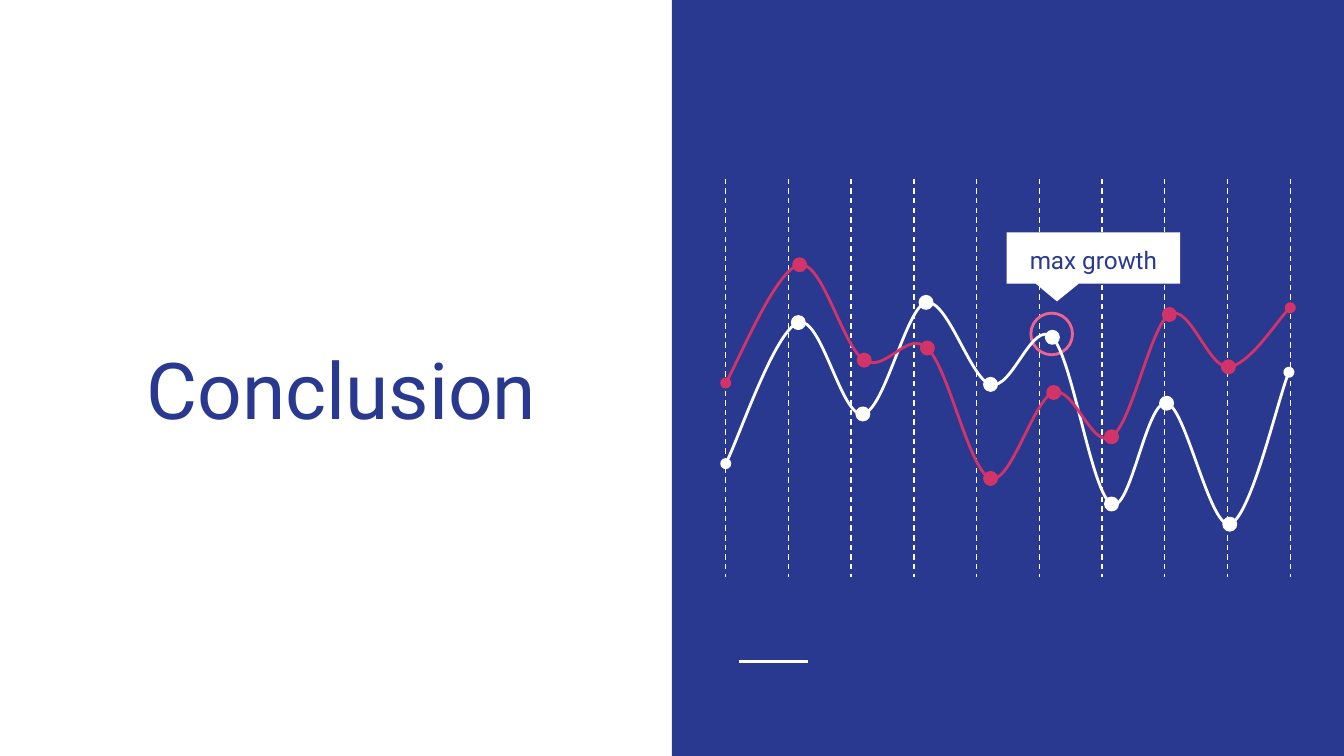
from lxml import etree
from pptx import Presentation
from pptx import util as u
from pptx.dml.color import RGBColor
from pptx.enum import dml, shapes, text
from pptx.oxml.ns import qn

WHITE = RGBColor(0xFF, 0xFF, 0xFF)
NAVY = RGBColor(0x2A, 0x39, 0x90)
CRIMSON = RGBColor(0xD2, 0x33, 0x69)
PINK = RGBColor(0xF0, 0x62, 0x92)
FONT = "Roboto"
DOT = 0.09
SLIDE_W = 10
SLIDE_H = SLIDE_W * 9 / 16

prs = Presentation()
prs.slide_width, prs.slide_height = u.Inches(SLIDE_W), u.Inches(SLIDE_H)
s = prs.slides.add_slide(prs.slide_layouts[6])


def add_shape(kind, x, y, w, h, fill=None, line=None):
    sp = s.shapes.add_shape(kind, *map(u.Inches, (x, y, w, h)))
    sp.shadow.inherit = False
    if fill is None:
        sp.fill.background()
    else:
        sp.fill.solid()
        sp.fill.fore_color.rgb = fill
    if line is None:
        sp.line.fill.background()
    else:
        sp.line.color.rgb = line
        sp.line.width = u.Pt(1.5)
    return sp


def add_text(x, y, w, h, words, size, anchor, spacing=1.0):
    tf = s.shapes.add_textbox(*map(u.Inches, (x, y, w, h))).text_frame
    tf.word_wrap = True
    tf.vertical_anchor = anchor
    tf.margin_left = tf.margin_right = tf.margin_top = tf.margin_bottom = u.Inches(0.1)
    p = tf.paragraphs[0]
    p.alignment = text.PP_ALIGN.CENTER
    p.line_spacing = spacing
    r = p.add_run()
    r.text = words
    r.font.name, r.font.size = FONT, u.Pt(size)
    r.font.color.rgb = NAVY


# Right panel
add_shape(shapes.MSO_SHAPE.RECTANGLE, SLIDE_W / 2, 0, SLIDE_W / 2, SLIDE_H, NAVY)

# Short accent rule, then ten evenly spaced dashed grid lines
rules = [(5.5, 4.92, 6.01, 4.92, 1.5, None)]
for i in range(10):
    x = 5.4 + i * 4.2 / 9
    rules.append((x, 1.33, x, 4.29, 0.75, dml.MSO_LINE.DASH))
for x1, y1, x2, y2, width, dash in rules:
    c = s.shapes.add_connector(shapes.MSO_CONNECTOR.STRAIGHT,
                               *map(u.Inches, (x1, y1, x2, y2)))
    c.line.color.rgb = WHITE
    c.line.width = u.Pt(width)
    if dash is not None:
        c.line.dash_style = dash
    etree.SubElement(c.element.spPr, qn("a:effectLst"))

# Ring around the highlighted point, and the title
add_shape(shapes.MSO_SHAPE.OVAL, 7.67, 2.33, 0.31, 0.31, line=PINK)
add_text(0.33, 1.63, 4.42, 1.71, "Conclusion", 42, text.MSO_ANCHOR.BOTTOM)

# Curves: a start point, then two control points and an end point per segment
white_curve = [
    (5.4, 3.45),
    (5.49, 3.28), (5.77, 2.46), (5.94, 2.4),
    (6.11, 2.34), (6.26, 3.11), (6.42, 3.08),
    (6.58, 3.06), (6.74, 2.29), (6.89, 2.25),
    (7.05, 2.22), (7.22, 2.82), (7.37, 2.86),
    (7.53, 2.91), (7.68, 2.37), (7.83, 2.51),
    (7.98, 2.66), (8.12, 3.67), (8.27, 3.75),
    (8.41, 3.83), (8.53, 2.97), (8.68, 3),
    (8.82, 3.02), (9, 3.93), (9.15, 3.9),
    (9.3, 3.86), (9.51, 2.96), (9.59, 2.77),
]
red_curve = [
    (5.4, 2.85),
    (5.49, 2.7), (5.78, 2), (5.95, 1.97),
    (6.12, 1.94), (6.27, 2.58), (6.43, 2.68),
    (6.59, 2.78), (6.75, 2.45), (6.9, 2.59),
    (7.06, 2.74), (7.21, 3.5), (7.37, 3.56),
    (7.52, 3.61), (7.69, 2.97), (7.84, 2.92),
    (7.99, 2.87), (8.13, 3.35), (8.27, 3.25),
    (8.42, 3.16), (8.56, 2.43), (8.7, 2.34),
    (8.85, 2.25), (8.99, 2.74), (9.14, 2.73),
    (9.29, 2.72), (9.52, 2.36), (9.6, 2.29),
]
for curve, color in ((white_curve, WHITE), (red_curve, CRIMSON)):
    pts = [(u.Inches(x), u.Inches(y)) for x, y in curve]
    fb = s.shapes.build_freeform(*pts[0])
    fb.add_line_segments(pts[1:], close=False)
    sp = fb.convert_to_shape()
    sp.shadow.inherit = False
    sp.fill.background()
    sp.line.color.rgb = color
    sp.line.width = u.Pt(1.5)
    for end in ("a:headEnd", "a:tailEnd"):
        etree.SubElement(sp.element.spPr.find(qn("a:ln")), qn(end), type="oval")

    # Merge each three line steps into one cubic Bezier
    steps = sp.element.xpath(".//a:lnTo")
    for i in range(0, len(steps), 3):
        bezier = etree.Element(qn("a:cubicBezTo"))
        steps[i].addprevious(bezier)
        for step in steps[i:i + 3]:
            bezier.append(step[0])
            step.getparent().remove(step)

    # Dots on the inner points
    for x, y in curve[3:-1:3]:
        add_shape(shapes.MSO_SHAPE.OVAL, x - DOT / 2, y - DOT / 2, DOT, DOT, color, color)

    # The callout lies between the two curves
    if color == WHITE:
        sp = add_shape(shapes.MSO_SHAPE.ROUNDED_RECTANGULAR_CALLOUT,
                       7.49, 1.73, 1.29, 0.38, WHITE)
        for i, value in enumerate((-0.21, 0.85, 0)):
            sp.adjustments[i] = value

# Callout label
add_text(7.49, 1.76, 1.29, 0.31, "max growth", 13, text.MSO_ANCHOR.MIDDLE, 1.15)

prs.save("out.pptx")
